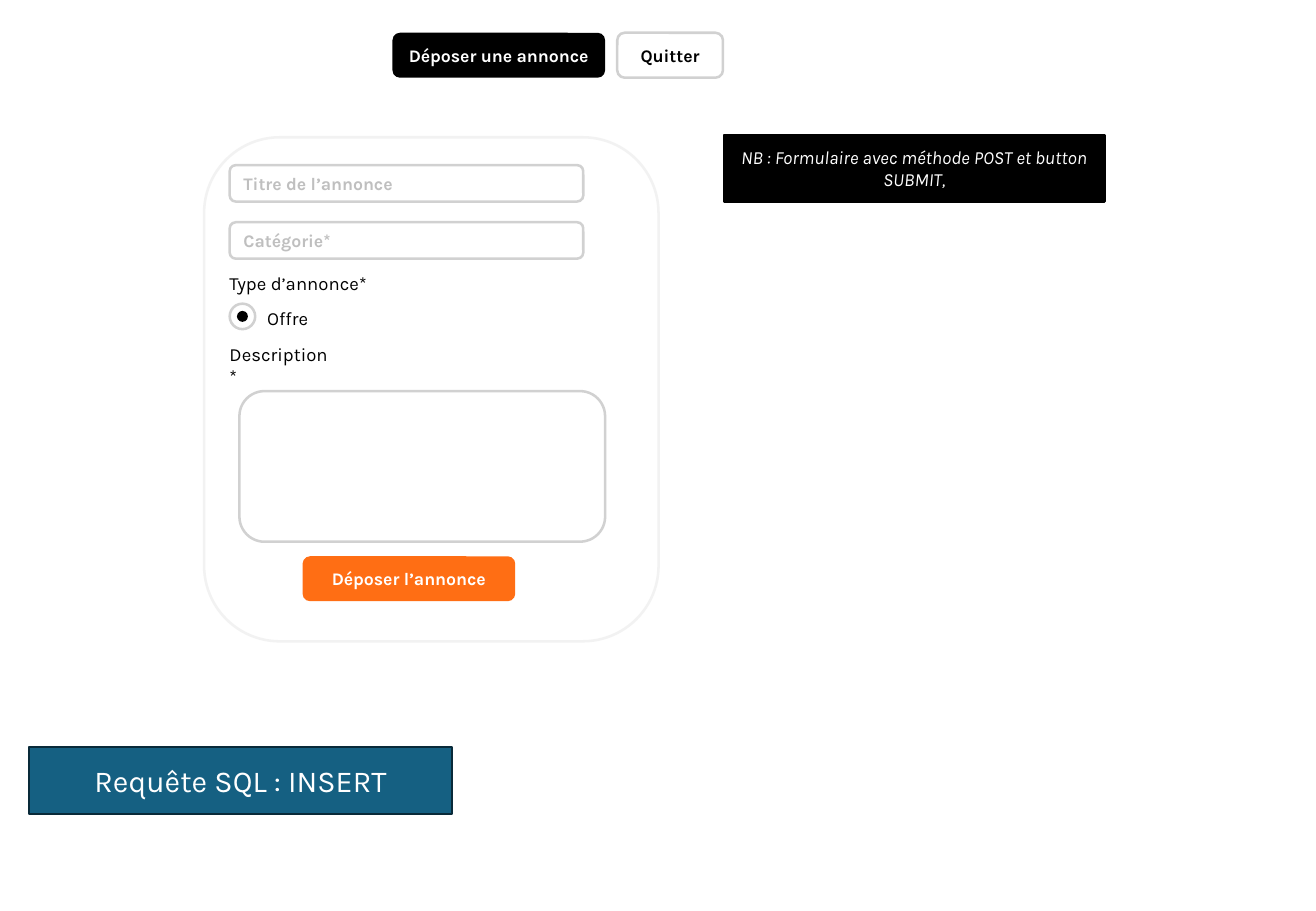
from dataclasses import dataclass

from pptx import Presentation
from pptx.dml.color import RGBColor
from pptx.enum.shapes import MSO_SHAPE
from pptx.enum.text import MSO_ANCHOR, MSO_AUTO_SIZE, PP_ALIGN
from pptx.util import Emu, Pt

PX = 9144


@dataclass(frozen=True)
class Theme:
    font: str = "Karla"
    black: str = "000000"
    white: str = "FFFFFF"
    placeholder: str = "BFBFBF"
    border: str = "D1D1D1"
    panel: str = "F2F2F2"
    orange: str = "FF6E14"
    blue: str = "156082"
    navy: str = "092A39"
    control_size: float = 10.5
    label_size: float = 11
    query_size: float = 18
    stroke: float = 1.5


@dataclass(frozen=True)
class Box:
    left: int
    top: int
    width: int
    height: int

    def inner(self, dx, dy, width, height):
        return Box(self.left + dx, self.top + dy, width, height)

    def emu(self):
        return [Emu(n * PX) for n in (self.left, self.top, self.width, self.height)]


THEME = Theme()


def write(frame, text, size, color, align=PP_ALIGN.LEFT, bold=None, italic=None):
    paragraph = frame.paragraphs[0]
    paragraph.alignment = align
    run = paragraph.add_run()
    run.text = text
    run.font.name = THEME.font
    run.font.size = Pt(size)
    run.font.bold = bold
    run.font.italic = italic
    run.font.color.rgb = RGBColor.from_string(color)


def draw(slide, kind, box, fill=None, line=None):
    outline = slide.shapes.add_shape(kind, *box.emu())
    outline.shadow.inherit = False
    if fill:
        outline.fill.solid()
        outline.fill.fore_color.rgb = RGBColor.from_string(fill)
    else:
        outline.fill.background()
    if line:
        outline.line.color.rgb = RGBColor.from_string(line)
        outline.line.width = Pt(THEME.stroke)
    else:
        outline.line.fill.background()
    frame = outline.text_frame
    frame.word_wrap = True
    frame.vertical_anchor = MSO_ANCHOR.MIDDLE
    return frame


def add_control(slide, box, text, color, fill=None, line=None, align=PP_ALIGN.CENTER):
    frame = draw(slide, MSO_SHAPE.ROUNDED_RECTANGLE, box, fill, line)
    write(frame, text, THEME.control_size, color, align, bold=True)


def add_label(slide, box, text, wrap=False):
    frame = slide.shapes.add_textbox(*box.emu()).text_frame
    frame.word_wrap = wrap
    frame.auto_size = MSO_AUTO_SIZE.SHAPE_TO_FIT_TEXT if not wrap else MSO_AUTO_SIZE.NONE
    write(frame, text, THEME.label_size, THEME.black)


def add_menu(slide, box):
    add_control(slide, box.inner(0, 0, 175, box.height), "Déposer une annonce",
                THEME.white, fill=THEME.black)
    add_control(slide, box.inner(185, 0, 87, box.height), "Quitter",
                THEME.black, line=THEME.border)


def add_form(slide, box):
    draw(slide, MSO_SHAPE.ROUNDED_RECTANGLE, box, line=THEME.panel)
    for row, hint in enumerate(("Titre de l’annonce", "Catégorie*")):
        add_control(slide, box.inner(21, 23 + 47 * row, 291, 30), hint,
                    THEME.placeholder, line=THEME.border, align=PP_ALIGN.LEFT)
    add_label(slide, box.inner(11, 106, 133, 29), "Type d’annonce*")
    draw(slide, MSO_SHAPE.OVAL, box.inner(21, 137, 21, 21), line=THEME.border)
    draw(slide, MSO_SHAPE.OVAL, box.inner(27, 143, 9, 9), fill=THEME.black)
    add_label(slide, box.inner(42, 135, 54, 29), "Offre")
    add_label(slide, box.inner(11, 164, 105, 29), "Description*", wrap=True)
    draw(slide, MSO_SHAPE.ROUNDED_RECTANGLE, box.inner(29, 209, 301, 124),
         line=THEME.border)
    add_control(slide, box.inner(81, 345, 175, 37), "Déposer l’annonce",
                THEME.white, fill=THEME.orange)


def add_note(slide, box):
    frame = draw(slide, MSO_SHAPE.RECTANGLE, box, THEME.black, THEME.black)
    write(frame, "NB : Formulaire avec méthode POST et button SUBMIT,",
          THEME.label_size, THEME.white, PP_ALIGN.CENTER, italic=True)


def add_query(slide, box):
    frame = draw(slide, MSO_SHAPE.RECTANGLE, box, THEME.blue, THEME.navy)
    write(frame, "Requête SQL : INSERT", THEME.query_size, THEME.white, PP_ALIGN.CENTER)


def main():
    deck = Presentation()
    deck.slide_width = Emu(1083 * PX)
    deck.slide_height = Emu(750 * PX)
    slide = deck.slides.add_slide(deck.slide_layouts[6])
    add_menu(slide, Box(323, 27, 272, 37))
    add_form(slide, Box(168, 113, 374, 415))
    add_query(slide, Box(24, 615, 348, 55))
    add_note(slide, Box(596, 111, 313, 55))
    deck.save("out.pptx")


if __name__ == "__main__":
    main()
